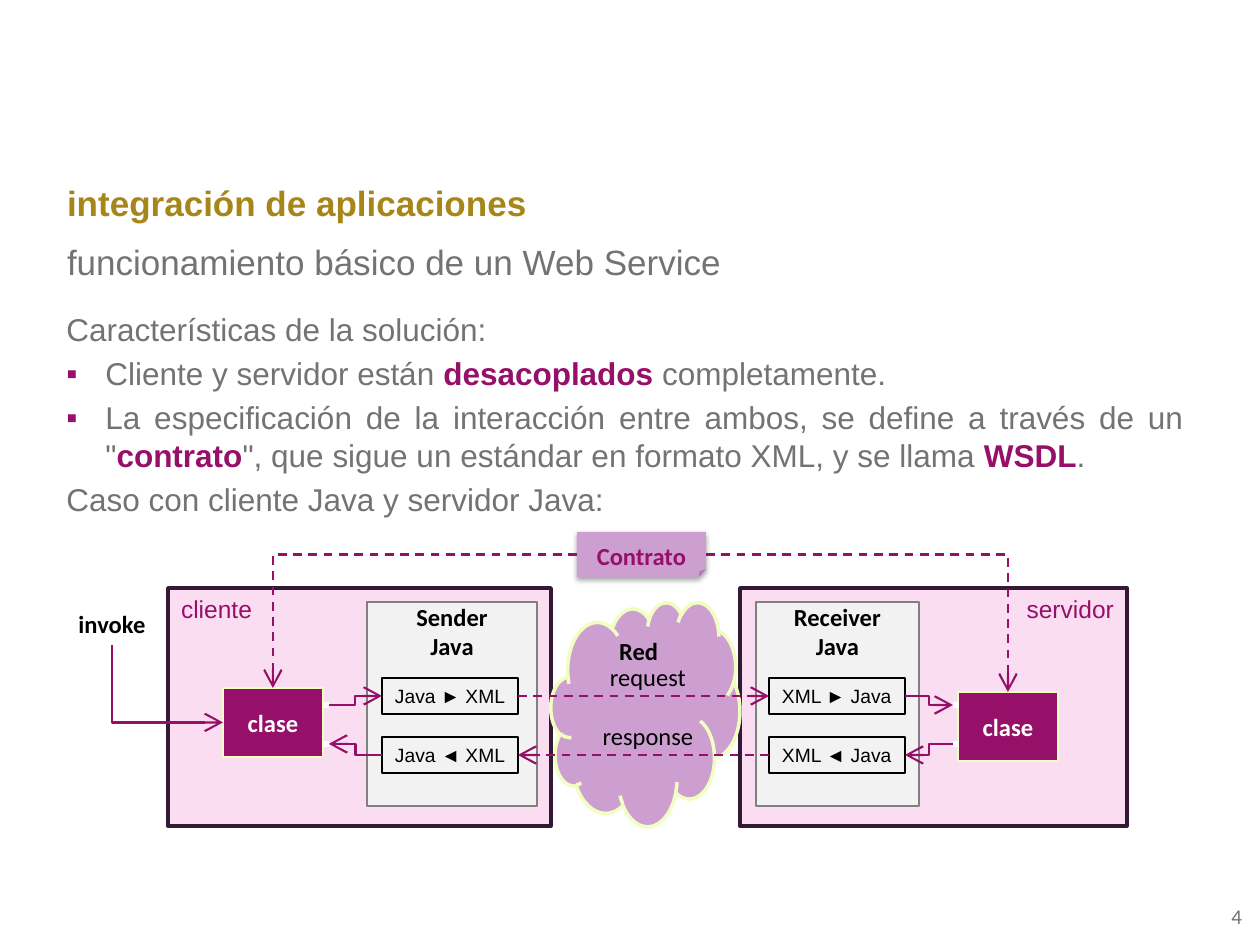
from dataclasses import dataclass

from lxml import etree
from pptx import Presentation
from pptx.dml.color import RGBColor
from pptx.enum.dml import MSO_LINE
from pptx.enum.shapes import MSO_CONNECTOR, MSO_SHAPE
from pptx.enum.text import MSO_ANCHOR, PP_ALIGN
from pptx.oxml.ns import qn
from pptx.util import Pt

RECT, CLOUD, NOTE = MSO_SHAPE.RECTANGLE, MSO_SHAPE.CLOUD, MSO_SHAPE.FOLDED_CORNER
ELBOW, STRAIGHT = MSO_CONNECTOR.ELBOW, MSO_CONNECTOR.STRAIGHT
LEFT, MID, RIGHT, JUST = PP_ALIGN.LEFT, PP_ALIGN.CENTER, PP_ALIGN.RIGHT, PP_ALIGN.JUSTIFY
TOP, CENTER = MSO_ANCHOR.TOP, MSO_ANCHOR.MIDDLE
DASH = MSO_LINE.DASH
N, W, S, E = 0, 1, 2, 3  # connection sites


@dataclass(frozen=True)
class Theme:
    gold: str = "A68619"
    gray: str = "737373"
    plum: str = "960F68"
    pink: str = "FBDDF1"
    dark: str = "321934"
    pale: str = "F2F2F2"
    edge: str = "808080"
    lilac: str = "CD9FD1"
    lime: str = "F1FEC2"
    black: str = "000000"
    white: str = "FFFFFF"
    sans: str = "Arial"
    body: str = "Calibri"
    head: int = 20
    text: int = 18
    label: int = 14
    page: int = 12
    code: int = 11


T = Theme()
INSET = (13, 6, 13, 6)
NONE = (0, 0, 0, 0)


def px(n):
    return round(n * 914400 / 126)


def rgb(code):
    return RGBColor.from_string(code)


def apply(obj, values):
    for key, value in values.items():
        setattr(obj, key, value)


def font(size=T.label, name=T.body, color=T.black, bold=False):
    return {"size": Pt(size), "name": name, "bold": bold}, color


def add_run(para, text, look):
    values, color = look
    run = para.add_run()
    run.text = text
    apply(run.font, values)
    run.font.color.rgb = rgb(color)


def write(shape, text, look, align=MID, anchor=CENTER, inset=INSET):
    frame = shape.text_frame
    sides = ("margin_left", "margin_top", "margin_right", "margin_bottom")
    apply(frame, dict(zip(sides, map(px, inset))))
    apply(frame, {"word_wrap": True, "vertical_anchor": anchor})
    for i, line in enumerate(text.split("\n")):
        para = frame.add_paragraph() if i else frame.paragraphs[0]
        para.alignment = align
        add_run(para, line, look)


def label(slide, box, text, look, **fmt):
    shape = slide.shapes.add_textbox(*map(px, box))
    write(shape, text, look, **fmt)
    return shape


def block(slide, box, fill=None, line=None, width=1, kind=RECT):
    shape = slide.shapes.add_shape(kind, *map(px, box))
    shape.shadow.inherit = False
    if fill:
        shape.fill.solid()
        shape.fill.fore_color.rgb = rgb(fill)
    else:
        shape.fill.background()
    if line:
        shape.line.color.rgb = rgb(line)
        shape.line.width = Pt(width)
    else:
        shape.line.fill.background()
    return shape


def link(slide, start, end, kind=ELBOW, dash=False, corner=False):
    """Arrow between two (shape, site) ends; corner gives a single bend."""
    wire = slide.shapes.add_connector(kind, 0, 0, 0, 0)
    wire.begin_connect(*start)
    wire.end_connect(*end)
    props = wire.element.spPr
    if corner:
        props.find(qn("a:prstGeom")).set("prst", "bentConnector2")
    if corner and start[1] == S:
        # Leaving downward: turn the frame a quarter about its centre
        mid_x, mid_y = (wire.begin_x + wire.end_x) // 2, (wire.begin_y + wire.end_y) // 2
        half_w, half_h = wire.height // 2, wire.width // 2
        apply(wire, {"begin_x": mid_x + half_w, "begin_y": mid_y - half_h,
                     "end_x": mid_x - half_w, "end_y": mid_y + half_h})
        props.find(qn("a:xfrm")).set("rot", "16200000")
    wire.line.color.rgb = rgb(T.plum)
    wire.line.width = Pt(1.25)
    if dash:
        wire.line.dash_style = DASH
    etree.SubElement(props.find(qn("a:ln")), qn("a:tailEnd"), type="arrow", w="lg", len="lg")
    etree.SubElement(props, qn("a:effectLst"))


def bullet(para):
    props = para._p.get_or_add_pPr()
    props.set("marL", str(px(39)))
    props.set("indent", str(-px(39)))
    color = etree.SubElement(props, qn("a:buClr"))
    etree.SubElement(color, qn("a:srgbClr"), val=T.plum)
    etree.SubElement(props, qn("a:buFont"), typeface=T.sans)
    etree.SubElement(props, qn("a:buChar"), char="▪")


def heading(slide, box):
    x, y, w, h = box
    label(slide, (x, y, w, h), "integración de aplicaciones",
          font(T.head, T.sans, T.gold, True), align=LEFT)
    label(slide, (x, y + h, w, h), "funcionamiento básico de un Web Service",
          font(T.head, T.sans, T.gray), align=LEFT)


def prose(slide, box):
    plain = font(T.text, T.sans, T.gray)
    strong = font(T.text, T.sans, T.plum, True)
    # Odd pieces of each paragraph are emphasised
    paras = [
        (False, ["Características de la solución:"]),
        (True, ["Cliente y servidor están ", "desacoplados", " completamente."]),
        (True, ["La especificación de la interacción entre ambos, se define a través de un \"",
                "contrato", "\", que sigue un estándar en formato XML, y se llama ", "WSDL", "."]),
        (False, ["Caso con cliente Java y servidor Java:"]),
    ]
    frame = slide.shapes.add_textbox(*map(px, box)).text_frame
    frame.word_wrap = True
    for i, (listed, parts) in enumerate(paras):
        para = frame.add_paragraph() if i else frame.paragraphs[0]
        if listed:
            bullet(para)
        apply(para, {"alignment": JUST, "space_before": Pt(3.6 if i else 0)})
        for j, part in enumerate(parts):
            add_run(para, part, strong if j % 2 else plain)


def host(slide, box, name, align, panel, role, main, ports, codes, code_x, client):
    """One side of the exchange; returns its class box and its two converters."""
    x, y, w, h = box
    frame = block(slide, box, T.pink, T.dark, 2)
    write(frame, name, font(T.label, T.sans, T.plum), align, TOP)
    # Proxy panel
    shape = block(slide, (x + panel[0], y + 14, panel[1], 204), T.pale, T.edge)
    write(shape, role + "\nJava", font(bold=True), anchor=TOP, inset=NONE)
    # Class with its two ports
    unit = block(slide, (x + main[0], y + main[1], 100, 69), T.plum, T.lime)
    write(unit, "clase", font(color=T.white, bold=True))
    dots = [block(slide, (x + ports, y + dy, 6, 6), T.white) for dy in (114, 153)]
    # Converters
    convs = []
    for dy, code in zip((90, 149), codes):
        conv = block(slide, (x + code_x, y + dy, 136, 36), None, T.black, 0.75)
        write(conv, code, font(T.code, T.sans), LEFT, TOP, (13, 6, 0, 6))
        convs.append(conv)
    # Calls go out on the top row and come back on the bottom row
    near, far = (E, W) if client else (W, E)
    call = [(dots[0], near), (convs[0], far)]
    reply = [(convs[1], far), (dots[1], near)]
    for ends in (call, reply):
        link(slide, *(ends if client else ends[::-1]))
    return unit, convs


def network(slide, box, left, right):
    x, y, w, h = box
    cloud = block(slide, box, T.lilac, T.lime, 2, CLOUD)
    write(cloud, "Red", font(bold=True), anchor=TOP, inset=(13, 0, 13, 6))
    link(slide, (left[0], E), (right[0], W), STRAIGHT, True)
    link(slide, (right[1], W), (left[1], E), STRAIGHT, True)
    for dy, text in ((53, "request"), (112, "response")):
        label(slide, (x + 46, y + dy, 102, 43), text, font(), inset=NONE)


def contract(slide, box, units):
    note = block(slide, box, T.lilac, kind=NOTE)
    write(note, "Contrato", font(color=T.plum, bold=True), inset=(13, 15, 13, 6))
    effects = note.element.spPr.find(qn("a:effectLst"))
    shade = etree.SubElement(effects, qn("a:outerShdw"), blurRad=str(Pt(3.1)),
                             dist=str(Pt(1.8)), dir="5400000", rotWithShape="0")
    color = etree.SubElement(shade, qn("a:srgbClr"), val=T.black)
    etree.SubElement(color, qn("a:alpha"), val="35000")
    for side, unit in zip((W, E), units):
        link(slide, (note, side), (unit, N), dash=True, corner=True)


def main():
    deck = Presentation()
    apply(deck, {"slide_width": px(1260), "slide_height": px(945)})
    slide = deck.slides.add_slide(deck.slide_layouts[6])
    prose(slide, (54, 304, 1142, 576))
    heading(slide, (54, 173, 1142, 59))
    # Diagram
    user, out = host(slide, (168, 588, 383, 238), "cliente", LEFT, (199, 170), "Sender",
                     (55, 100), 155, ("Java ► XML", "Java ◄ XML"), 214, True)
    server, back = host(slide, (740, 588, 387, 238), "servidor", RIGHT, (16, 163), "Receiver",
                        (218, 104), 213, ("XML ► Java", "XML ◄ Java"), 29, False)
    call = label(slide, (74, 602, 76, 43), "invoke", font(bold=True), inset=NONE)
    link(slide, (call, S), (user, W), corner=True)
    network(slide, (551, 602, 189, 224), out, back)
    contract(slide, (577, 532, 129, 45), (user, server))
    # Page number
    label(slide, (1164, 891, 91, 50), "4", font(T.page, color=T.gray), align=RIGHT)
    deck.save("out.pptx")


if __name__ == "__main__":
    main()
